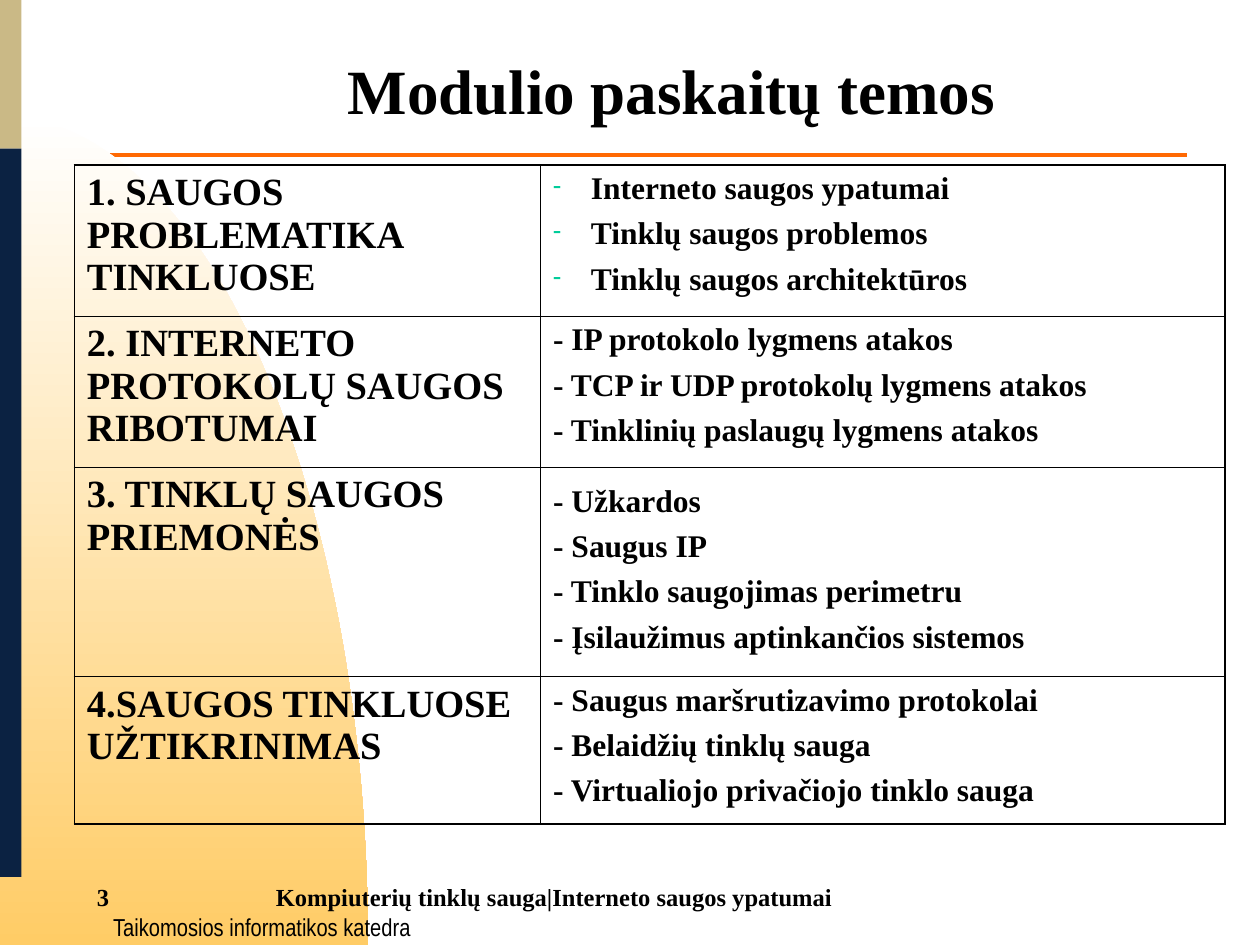
from dataclasses import dataclass

from lxml import etree
from pptx import Presentation
from pptx import util as u
from pptx.dml.color import RGBColor
from pptx.enum import shapes, text
from pptx.oxml import ns


@dataclass(frozen=True)
class Theme:
    ink: str = "000000"
    rule: str = "FF6903"
    sand: str = "CAB986"
    navy: str = "0B2242"
    white: str = "FFFFFF"
    gold: str = "FFCC66"
    mark: str = "00CC99"
    serif: str = "Times New Roman"
    narrow: str = "Arial Narrow"
    title: int = 36
    head: int = 22
    item: int = 18
    foot: int = 14
    thin: float = 0.45
    thick: float = 1.08


@dataclass(frozen=True)
class Topic:
    head: str
    items: tuple[str, ...]
    tall: float
    dots: bool = False    # real bullets
    loose: bool = False   # one paragraph with line breaks


@dataclass(frozen=True)
class Label:
    words: str
    box: tuple[float, float, float, float]
    font: str
    bold: bool = True
    mid: bool = False
    pad: tuple[float, float] = (0.1, 0.05)


T = Theme()

TOPICS = (
    Topic("1. SAUGOS PROBLEMATIKA TINKLUOSE",
          ("Interneto saugos ypatumai", "Tinklų saugos problemos",
           "Tinklų saugos architektūros"), 1.2, dots=True),
    Topic("2. INTERNETO PROTOKOLŲ SAUGOS RIBOTUMAI",
          ("- IP protokolo lygmens atakos",
           "- TCP ir UDP protokolų lygmens atakos",
           "- Tinklinių paslaugų lygmens atakos"), 1.2),
    Topic("3. TINKLŲ SAUGOS PRIEMONĖS",
          ("- Užkardos", "- Saugus IP", "- Tinklo saugojimas perimetru",
           "- Įsilaužimus aptinkančios sistemos"), 1.66, loose=True),
    Topic("4.SAUGOS TINKLUOSE UŽTIKRINIMAS",
          ("- Saugus maršrutizavimo protokolai", "- Belaidžių tinklų sauga",
           "- Virtualiojo privačiojo tinklo sauga"), 1.17),
)

LABELS = (
    Label("Taikomosios informatikos katedra", (0.83, 7.23, 2.5, 0.26),
          T.narrow, bold=False, mid=True, pad=(0.01, 0.01)),
    Label("Kompiuterių tinklų sauga|Interneto saugos ypatumai",
          (2.09, 6.95, 5.75, 0.4), T.serif),
    Label("3", (0.67, 6.95, 1.42, 0.4), T.serif),
)


def tint(code: str) -> RGBColor:
    return RGBColor.from_string(code)


def add_run(para, words: str, size: int, font: str = T.serif,
            bold: bool = True) -> None:
    run = para.add_run()
    run.text = words
    run.font.size = u.Pt(size)
    run.font.name = font
    run.font.bold = bold
    run.font.color.rgb = tint(T.ink)


def set_pad(frame, pad: tuple[float, float]) -> None:
    frame.margin_left = frame.margin_right = u.Inches(pad[0])
    frame.margin_top = frame.margin_bottom = u.Inches(pad[1])


def add_rule(slide) -> None:
    y = u.Inches(1.23)
    line = slide.shapes.add_connector(
        shapes.MSO_CONNECTOR.STRAIGHT, u.Inches(0.42), y, u.Inches(9.42), y)
    line.line.color.rgb = tint(T.rule)
    line.line.width = u.Pt(2.25)
    etree.SubElement(line._element.spPr, ns.qn("a:effectLst"))


def add_sweep(slide, steps: int = 60) -> None:
    """Quarter curve from the left edge down to the foot of the slide."""
    wide, top, foot = 2.92, 0.92, 7.5
    knots = ((0, top), (1.61, top), (wide, 3.87), (wide, foot))

    def curve(t: float, axis: int) -> float:
        a, b, c, d = (knot[axis] for knot in knots)
        s = 1 - t
        return s**3 * a + 3 * s * s * t * b + 3 * s * t * t * c + t**3 * d

    pen = slide.shapes.build_freeform(0, u.Inches(top))
    spots = [(u.Inches(curve(i / steps, 0)), u.Inches(curve(i / steps, 1)))
             for i in range(1, steps + 1)]
    pen.add_line_segments(spots + [(0, u.Inches(foot))], close=True)
    sweep = pen.convert_to_shape()
    sweep.shadow.inherit = False
    sweep.line.fill.background()
    sweep.fill.gradient()
    sweep.fill.gradient_angle = 270
    for stop, code in zip(sweep.fill.gradient_stops, (T.white, T.gold)):
        stop.color.rgb = tint(code)


def add_bar(slide, top: float, tall: float, code: str) -> None:
    bar = slide.shapes.add_shape(
        shapes.MSO_SHAPE.RECTANGLE, 0, u.Inches(top), u.Inches(0.17), u.Inches(tall))
    bar.shadow.inherit = False
    bar.fill.solid()
    bar.fill.fore_color.rgb = tint(code)
    bar.line.fill.background()


def add_label(slide, label: Label) -> None:
    frame = slide.shapes.add_textbox(*map(u.Inches, label.box)).text_frame
    frame.word_wrap = True
    set_pad(frame, label.pad)
    para = frame.paragraphs[0]
    if label.mid:
        para.alignment = text.PP_ALIGN.CENTER
    add_run(para, label.words, T.foot, label.font, label.bold)


def add_title(slide, words: str) -> None:
    title = slide.shapes.title
    title.left, title.top, title.width, title.height = map(
        u.Inches, (2.66, 0.36, 5.34, 0.7))
    frame = title.text_frame
    frame.word_wrap = False
    frame.vertical_anchor = text.MSO_ANCHOR.TOP
    set_pad(frame, (0.1, 0.05))
    frame.paragraphs[0].alignment = text.PP_ALIGN.LEFT
    add_run(frame.paragraphs[0], words, T.title)


def add_dot(para) -> None:
    props = para._p.get_or_add_pPr()
    props.set("marL", str(u.Inches(0.3)))
    props.set("indent", str(-u.Inches(0.3)))
    hue = etree.SubElement(props, ns.qn("a:buClr"))
    etree.SubElement(hue, ns.qn("a:srgbClr"), val=T.mark)
    etree.SubElement(props, ns.qn("a:buSzPct"), val="76000")
    etree.SubElement(props, ns.qn("a:buChar"), char="-")


def set_edges(cell, outer: dict[str, bool]) -> None:
    props = cell._tc.get_or_add_tcPr()
    for side, thick in outer.items():
        width = u.Pt(T.thick if thick else T.thin)
        edge = etree.SubElement(props, ns.qn(f"a:ln{side}"), w=str(int(width)))
        fill = etree.SubElement(edge, ns.qn("a:solidFill"))
        etree.SubElement(fill, ns.qn("a:srgbClr"), val=T.ink)
    cell.fill.background()


def fill_items(frame, topic: Topic) -> None:
    para = frame.paragraphs[0]
    if topic.loose:
        para.line_spacing = 1.3
    for i, item in enumerate(topic.items):
        if i and topic.loose:
            para.add_line_break()
        elif i:
            para = frame.add_paragraph()
            para.space_before = u.Pt(6)
        if topic.dots:
            add_dot(para)
        add_run(para, item, T.item)


def add_topics(slide) -> None:
    last = len(TOPICS) - 1
    grid = slide.shapes.add_table(
        len(TOPICS), 2, *map(u.Inches, (0.59, 1.31, 9.13, 5.23))).table
    grid.first_row = grid.horz_banding = False
    for col, wide in zip(grid.columns, (3.7, 5.43)):
        col.width = u.Inches(wide)
    for i, topic in enumerate(TOPICS):
        grid.rows[i].height = u.Inches(topic.tall)
        head, items = grid.cell(i, 0), grid.cell(i, 1)
        for j, cell in enumerate((head, items)):
            set_pad(cell, (0.1, 0.05))
            set_edges(cell, {"L": j == 0, "R": j == 1, "T": i == 0, "B": i == last})
        add_run(head.text_frame.paragraphs[0], topic.head, T.head)
        fill_items(items.text_frame, topic)


def main() -> None:
    deck = Presentation()
    deck.slide_width, deck.slide_height = u.Inches(10), u.Inches(7.5)
    slide = deck.slides.add_slide(deck.slide_layouts[5])
    # Backdrop
    add_rule(slide)
    add_sweep(slide)
    add_bar(slide, 0, 1.18, T.sand)
    add_bar(slide, 1.18, 5.78, T.navy)
    # Words
    for label in LABELS:
        add_label(slide, label)
    add_title(slide, "Modulio paskaitų temos")
    add_topics(slide)
    deck.save("out.pptx")


if __name__ == "__main__":
    main()
